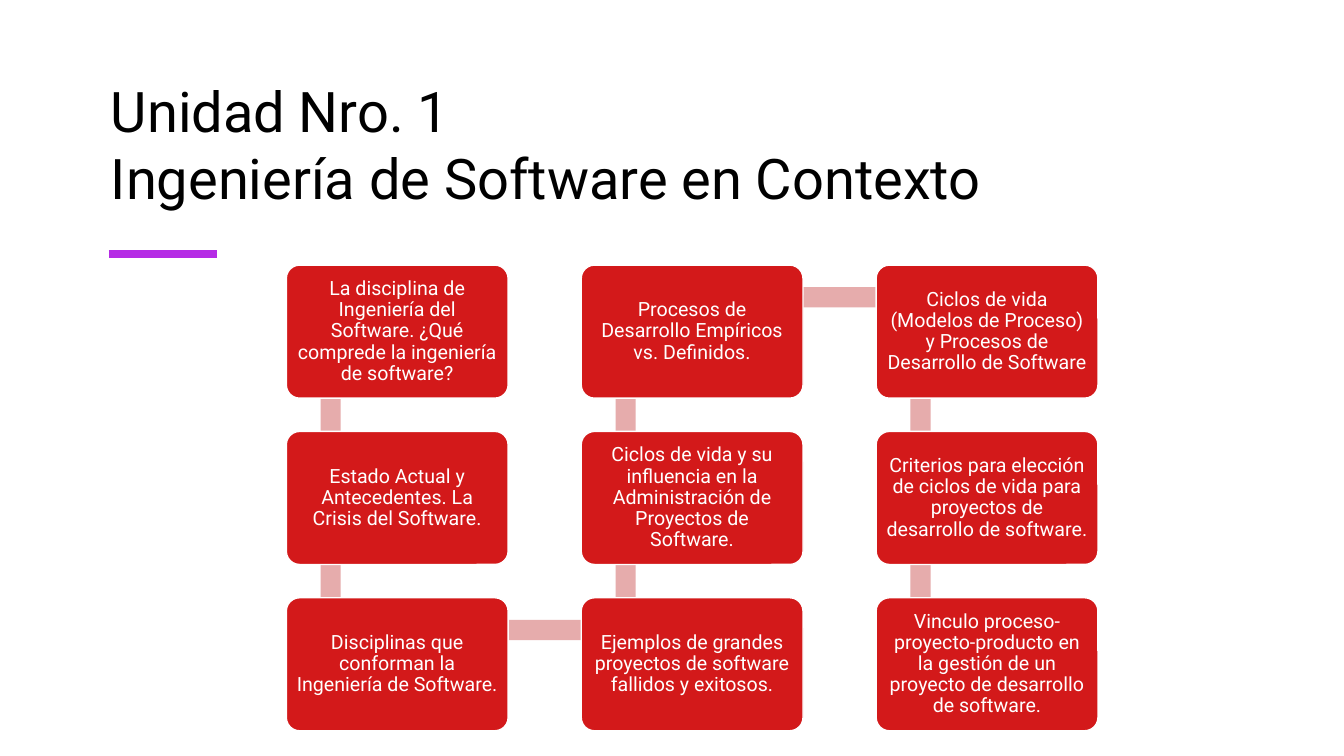
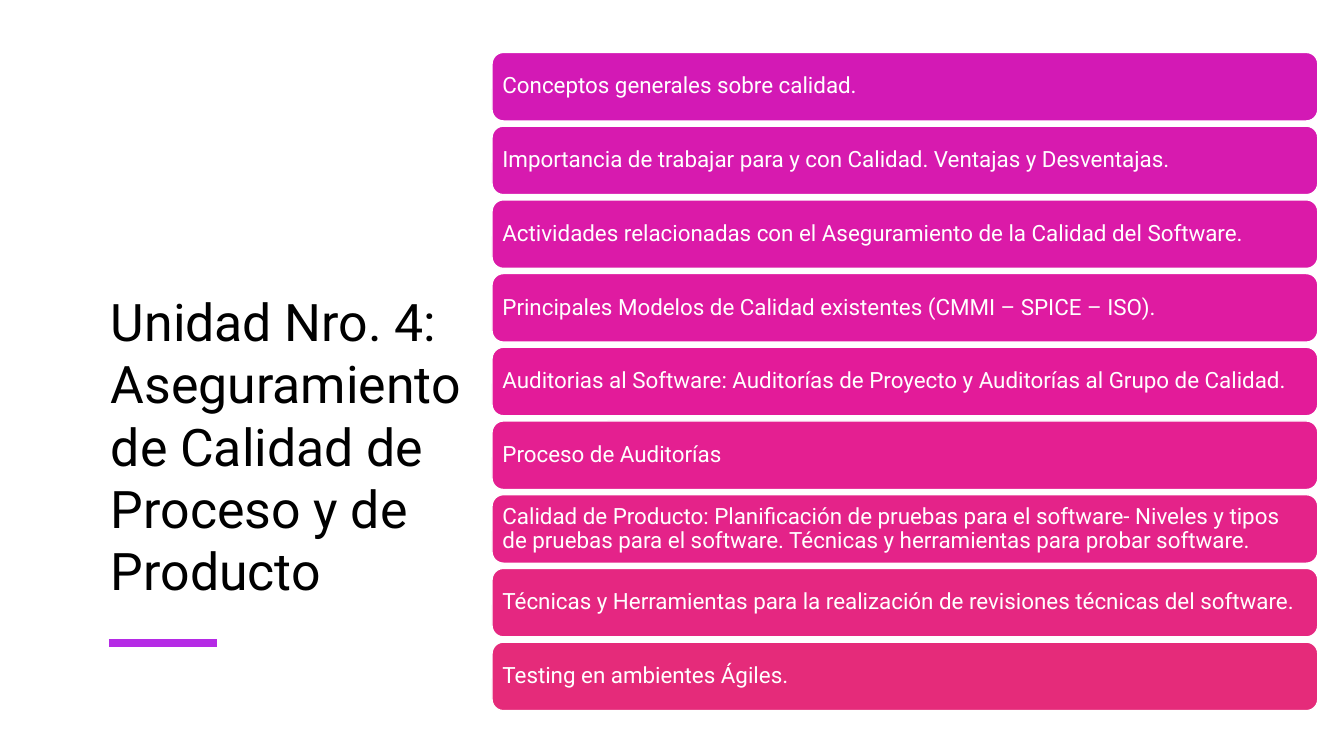
"""Build two course unit slides: a snaking topic flow and a stack of topic bars."""
from dataclasses import dataclass

from lxml.etree import SubElement
from pptx import Presentation
from pptx.dml.color import RGBColor
from pptx.enum.shapes import MSO_CONNECTOR, MSO_SHAPE
from pptx.enum.text import MSO_ANCHOR, MSO_AUTO_SIZE, PP_ALIGN
from pptx.oxml.ns import qn
from pptx.util import Inches, Pt


@dataclass(frozen=True)
class Theme:
    font: str = "Roboto"
    title_color: RGBColor = RGBColor.from_string("000000")
    white: RGBColor = RGBColor.from_string("FFFFFF")
    accent: RGBColor = RGBColor.from_string("B52BE5")
    flow_box: RGBColor = RGBColor.from_string("D3191A")
    flow_link: RGBColor = RGBColor.from_string("E6ACAC")
    flow_title_size: Pt = Pt(40)
    stack_title_size: Pt = Pt(37)
    flow_size: Pt = Pt(14)
    stack_size: Pt = Pt(16)
    accent_width: Pt = Pt(6)
    outline_width: Pt = Pt(1)


theme = Theme()
presentation = Presentation()
presentation.slide_width = Inches(13.33)
presentation.slide_height = Inches(7.5)


def add_unit_slide(title_lines, size, top, width, height, accent_top):
    slide = presentation.slides.add_slide(presentation.slide_layouts[5])
    title = slide.shapes.title
    title.left, title.top = Inches(1), Inches(top)
    title.width, title.height = Inches(width), Inches(height)
    frame = title.text_frame
    frame.word_wrap = True
    frame.auto_size = MSO_AUTO_SIZE.NONE
    frame.vertical_anchor = MSO_ANCHOR.BOTTOM
    paragraph = frame.paragraphs[0]
    paragraph.alignment = PP_ALIGN.LEFT
    for index, line in enumerate(title_lines):
        if index:
            paragraph.add_line_break()
        run = paragraph.add_run()
        run.text = line
        run.font.name = theme.font
        run.font.size = size
        run.font.color.rgb = theme.title_color
    accent = slide.shapes.add_connector(
        MSO_CONNECTOR.STRAIGHT, Inches(1.08), Inches(accent_top), Inches(2.15), Inches(accent_top)
    )
    accent.line.color.rgb = theme.accent
    accent.line.width = theme.accent_width
    SubElement(accent.element.spPr, qn("a:effectLst"))
    return slide


def add_topic_box(slide, text, bounds, fill, size, alignment, inset):
    shape = slide.shapes.add_shape(MSO_SHAPE.ROUNDED_RECTANGLE, *map(Inches, bounds))
    shape.shadow.inherit = False
    shape.fill.solid()
    shape.fill.fore_color.rgb = fill
    shape.line.color.rgb = theme.white
    shape.line.width = theme.outline_width
    frame = shape.text_frame
    frame.word_wrap = True
    frame.vertical_anchor = MSO_ANCHOR.MIDDLE
    frame.margin_left = frame.margin_right = Inches(inset)
    frame.margin_top = frame.margin_bottom = Inches(inset)
    paragraph = frame.paragraphs[0]
    paragraph.alignment = alignment
    paragraph.line_spacing = 0.9
    run = paragraph.add_run()
    run.text = text
    run.font.name = theme.font
    run.font.size = size
    run.font.color.rgb = theme.white
    return shape


flow_slide = add_unit_slide(
    ["Unidad Nro. 1", "Ingeniería de Software en Contexto"],
    theme.flow_title_size, 0.62, 11.06, 1.52, 2.52,
)
flow_topics = [
    "La disciplina de Ingeniería del Software. ¿Qué comprede la ingeniería de software?",
    "Estado Actual y Antecedentes. La Crisis del Software.",
    "Disciplinas que conforman la Ingeniería de Software.",
    "Ejemplos de grandes proyectos de software fallidos y exitosos.",
    "Ciclos de vida y su influencia en la Administración de Proyectos de Software.",
    "Procesos de Desarrollo Empíricos vs. Definidos.",
    "Ciclos de vida (Modelos de Proceso) y Procesos de Desarrollo de Software",
    "Criterios para elección de ciclos de vida para proyectos de desarrollo de software.",
    "Vinculo proceso-proyecto-producto en la gestión de un proyecto de desarrollo de software.",
]
row_count = 3
column_pitch, row_pitch = 5.85 / 2, 1.65
link_thickness = 0.2

positions = []
for index in range(len(flow_topics)):
    column, step = divmod(index, row_count)
    row = row_count - 1 - step if column % 2 else step
    positions.append((2.84 + column * column_pitch, 2.63 + row * row_pitch))

for (left, top), (next_left, next_top) in zip(positions, positions[1:]):
    if left == next_left:
        bounds = (left + 0.34, min(top, next_top) + 0.33, link_thickness, row_pitch)
    else:
        bounds = (left + 0.45, top + 0.22, column_pitch, link_thickness)
    link = flow_slide.shapes.add_shape(MSO_SHAPE.RECTANGLE, *map(Inches, bounds))
    link.shadow.inherit = False
    link.fill.solid()
    link.fill.fore_color.rgb = theme.flow_link
    link.line.fill.background()

for text, (left, top) in zip(flow_topics, positions):
    box = add_topic_box(
        flow_slide, text, (left, top, 2.2, 1.32),
        theme.flow_box, theme.flow_size, PP_ALIGN.CENTER, 0.06,
    )
    box.adjustments[0] = 0.1

stack_slide = add_unit_slide(
    ["Unidad Nro. 4: Aseguramiento de Calidad de Proceso y de Producto"],
    theme.stack_title_size, 1, 3.88, 5.01, 6.38,
)
stack_topics = [
    ("Conceptos generales sobre calidad.", "D319B5"),
    ("Importancia de trabajar para y con Calidad. Ventajas y Desventajas.", "D71AAF"),
    ("Actividades relacionadas con el Aseguramiento de la Calidad del Software.", "DB1AA8"),
    ("Principales Modelos de Calidad existentes (CMMI – SPICE – ISO).", "DF1BA1"),
    ("Auditorias al Software: Auditorías de Proyecto y Auditorías al Grupo de Calidad.", "E31B99"),
    ("Proceso de Auditorías", "E41F91"),
    (
        "Calidad de Producto: Planificación de pruebas para el software- Niveles y tipos de "
        "pruebas para el software. Técnicas y herramientas para probar software.",
        "E42389",
    ),
    ("Técnicas y Herramientas para la realización de revisiones técnicas del software.", "E52781"),
    ("Testing en ambientes Ágiles.", "E52B7A"),
]
bar_pitch = 5.85 / (len(stack_topics) - 1)
for index, (text, color) in enumerate(stack_topics):
    add_topic_box(
        stack_slide, text, (4.88, 0.52 + index * bar_pitch, 8.19, 0.68),
        RGBColor.from_string(color), theme.stack_size, PP_ALIGN.LEFT, 0.07,
    )

presentation.save("out.pptx")
